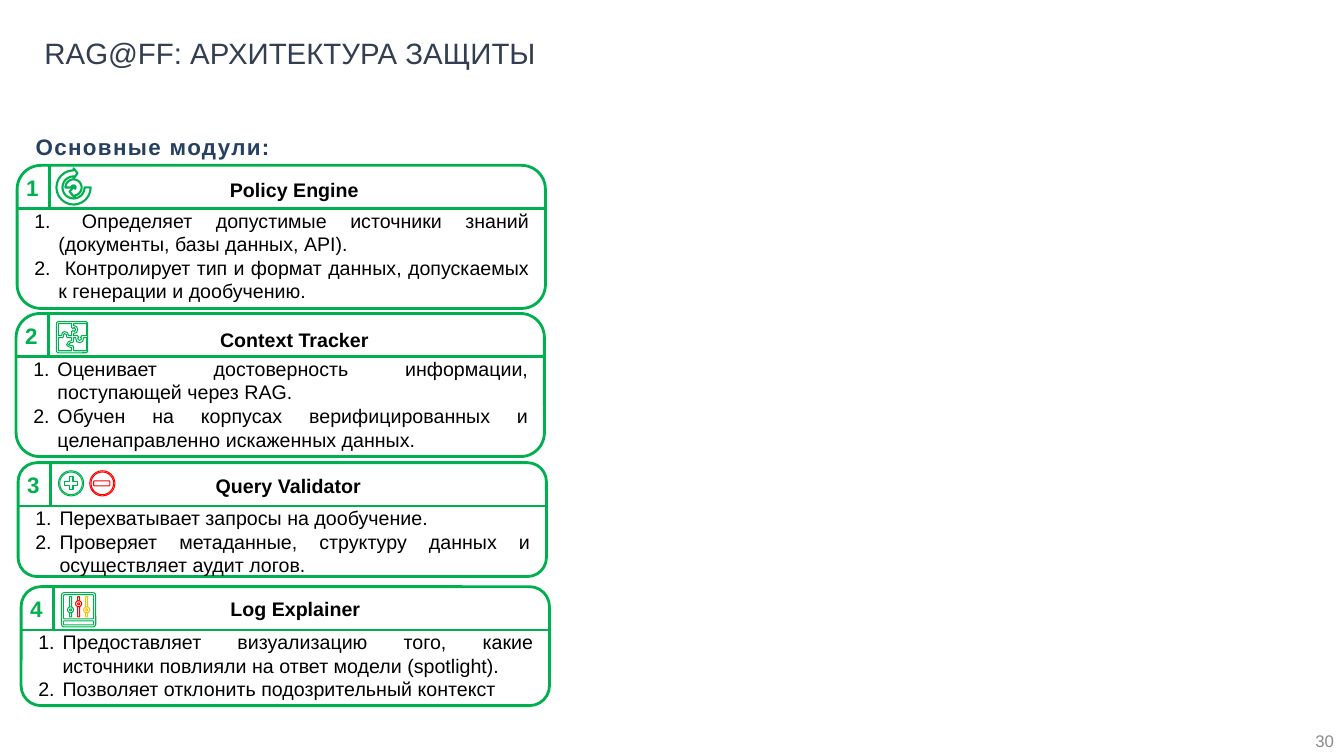
from math import cos, radians, sin

from lxml import etree
from pptx import Presentation
from pptx.dml.color import RGBColor
from pptx.enum.shapes import MSO_CONNECTOR, MSO_SHAPE
from pptx.enum.text import MSO_ANCHOR, MSO_AUTO_SIZE, PP_ALIGN
from pptx.oxml.ns import qn
from pptx.util import Inches, Pt

LINE = MSO_CONNECTOR.STRAIGHT
ROUND, OVAL = MSO_SHAPE.ROUNDED_RECTANGLE, MSO_SHAPE.OVAL
DONUT, CROSS = MSO_SHAPE.DONUT, MSO_SHAPE.CROSS
LEFT, MID, RIGHT, BOTH = PP_ALIGN.LEFT, PP_ALIGN.CENTER, PP_ALIGN.RIGHT, PP_ALIGN.JUSTIFY
TOP, CENTER = MSO_ANCHOR.TOP, MSO_ANCHOR.MIDDLE
FIXED = MSO_AUTO_SIZE.NONE

COLORS = {
    "green": "00B050", "red": "FF0000", "gold": "FFC000", "white": "FFFFFF",
    "black": "000000", "title": "333F50", "navy": "254061", "gray": "8C8C8C",
}

# left, top, height, heading left, heading drop, list height, heading, points
CARDS = [
    (0.17, 1.64, 1.42, 0.49, 0.08, 1.04, "Policy Engine", [
        " Определяет допустимые источники знаний (документы, базы данных, API).",
        " Контролирует тип и формат данных, допускаемых к генерации и дообучению."]),
    (0.16, 3.11, 1.42, 0.49, 0.09, 1.04, "Context Tracker", [
        "Оценивает достоверность информации, поступающей через RAG.",
        "Обучен на корпусах верифицированных и целенаправленно искаженных данных."]),
    (0.18, 4.59, 1.13, 0.43, 0.06, 0.81, "Query Validator", [
        "Перехватывает запросы на дообучение.",
        "Проверяет метаданные, структуру данных и осуществляет аудит логов."]),
    (0.21, 5.82, 1.18, 0.5, 0.05, 0.81, "Log Explainer", [
        "Предоставляет визуализацию того, какие источники повлияли на ответ модели (spotlight).",
        "Позволяет отклонить подозрительный контекст"]),
]
WIDTH, BAND = 5.24, 0.43

# Puzzle pieces, in hundredths of an inch from the icon's corner
PIECES = [
    [(15, 2), (15, 6), (16, 7), (18, 6), (19, 8), (18, 10), (16, 9), (15, 10),
     (15, 14), (12, 14), (11, 11), (8, 10), (6, 11), (5, 14), (2, 14), (2, 2)],
    [(17, 2), (30, 2), (30, 14), (25, 14), (24, 16), (25, 17), (23, 19), (21, 17),
     (22, 16), (21, 14), (17, 14), (17, 12), (20, 11), (21, 8), (20, 5), (17, 4)],
    [(8, 12), (10, 13), (10, 15), (11, 16), (15, 16), (15, 19), (12, 20), (10, 23),
     (12, 25), (15, 26), (15, 29), (2, 29), (2, 16), (6, 16), (7, 15), (7, 13)],
    [(30, 16), (30, 29), (17, 29), (17, 25), (16, 24), (14, 24), (12, 23), (14, 21),
     (16, 21), (17, 20), (17, 16), (19, 16), (20, 20), (23, 21), (26, 20), (27, 16)],
]


def arc(x, y, r, start, end, steps=18):
    turns = [radians(start + (end - start) * i / steps) for i in range(steps + 1)]
    return [(x + r * cos(t), y + r * sin(t)) for t in turns]


class Deck:
    font = "Arial"

    def __init__(self, slide):
        self.slide = slide
        self.shapes = slide.shapes

    def paint(self, shape, color, width):
        shape.shadow.inherit = False
        shape.fill.solid()
        shape.fill.fore_color.rgb = RGBColor.from_string(COLORS["white"])
        shape.line.color.rgb = RGBColor.from_string(COLORS[color])
        shape.line.width = Pt(width)

    def shape(self, kind, box, color="green", width=0.75, adj=None):
        shape = self.shapes.add_shape(kind, *map(Inches, box))
        self.paint(shape, color, width)
        if adj is not None:
            shape.adjustments[0] = adj

    def outline(self, rings, color="green", width=0.75):
        rings = [[(round(x * 1000), round(y * 1000)) for x, y in ring] for ring in rings]
        pen = self.shapes.build_freeform(*rings[0][0], scale=Inches(1) / 1000)
        for i, ring in enumerate(rings):
            if i:
                pen.move_to(*ring[0])
            pen.add_line_segments(ring[1:], close=True)
        self.paint(pen.convert_to_shape(), color, width)

    def line(self, *ends):
        line = self.shapes.add_connector(LINE, *map(Inches, ends))
        line.line.color.rgb = RGBColor.from_string(COLORS["green"])
        line.line.width = Pt(2)
        etree.SubElement(line.element.spPr, qn("a:effectLst"))

    def place(self, shape, box, text, size, color, bold=False, align=LEFT,
              anchor=TOP, wrap=True):
        shape.left, shape.top, shape.width, shape.height = map(Inches, box)
        frame = shape.text_frame
        frame.text = text
        frame.word_wrap = wrap
        frame.auto_size = FIXED
        frame.vertical_anchor = anchor
        for para in frame.paragraphs:
            para.alignment = align
            para.space_before = Pt(0)
            for run in para.runs:
                run.font.name = self.font
                run.font.size = Pt(size)
                run.font.bold = bold
                run.font.color.rgb = RGBColor.from_string(COLORS[color])
        return frame

    def text(self, box, *args, **style):
        return self.place(self.shapes.add_textbox(0, 0, 0, 0), box, *args, **style)

    def title(self, box, text):
        frame = self.place(self.shapes.title, box, text, 21, "title", anchor=CENTER)
        frame.paragraphs[0].line_spacing = 0.9

    def list(self, holder, box, points):
        frame = self.place(holder, box, "\n".join(points), 14, "black", align=BOTH)
        for para in frame.paragraphs:
            props = para._p.get_or_add_pPr()
            props.set("marL", str(Inches(0.3)))
            props.set("indent", str(-Inches(0.24)))
            etree.SubElement(props, qn("a:buFont"), typeface=self.font)
            etree.SubElement(props, qn("a:buAutoNum"), type="arabicPeriod")
        # Bring the list in front of its card
        holder.element.getparent().append(holder.element)

    def card(self, num, holder, left, top, height, head, drop, depth, name, points):
        self.shape(ROUND, (left, top, WIDTH, height), width=2)
        self.text((left - 0.01, top + 0.04, 0.46, 0.37), str(num), 16, "green", bold=True)
        self.line(left + 0.32, top, left + 0.32, top + BAND)
        self.text((head, top + drop, 4.86, 0.34), name, 14, "black", bold=True, align=MID)
        self.line(left, top + BAND, left + WIDTH, top + BAND)
        self.list(holder, (left + 0.01, top + 0.38, 5.17, depth), points)

    def swirl(self, x, y):
        outer = [(x, y - 0.19), *arc(x, y, 0.17, 270, 0), *arc(x, y, 0.11, 0, 270),
                 (x, y - 0.09), (x + 0.04, y - 0.14)]
        inner = [*arc(x, y, 0.08, 270, 180), *arc(x, y, 0.02, 180, 400),
                 (x + 0.01, y - 0.01), (x - 0.04, y + 0.04), (x + 0.01, y + 0.1),
                 *arc(x, y, 0.08, 80, -90)]
        for ring in (outer, inner):
            self.outline([ring], width=1.5)

    def puzzle(self, x, y):
        self.shape(ROUND, (x, y, 0.31, 0.31), adj=0.07)
        self.outline([[(x + a / 100, y + b / 100) for a, b in piece] for piece in PIECES])

    def signs(self, x, y):
        for step, color in ((0, "green"), (0.31, "red")):
            self.shape(DONUT, (x + step, y, 0.25, 0.25), color, adj=0.05)
        self.shape(CROSS, (x + 0.06, y + 0.06, 0.13, 0.13), adj=0.35)
        self.shape(ROUND, (x + 0.35, y + 0.1, 0.16, 0.05), "red")

    def mixer(self, x, y):
        self.shape(ROUND, (x, y, 0.34, 0.34), adj=0.08)
        self.shape(ROUND, (x + 0.02, y + 0.02, 0.3, 0.24), adj=0.05)
        self.shape(ROUND, (x + 0.02, y + 0.28, 0.3, 0.04))
        for i, (color, drop) in enumerate((("green", 0.14), ("red", 0.08), ("gold", 0.14))):
            knob = x + 0.06 + 0.08 * i
            self.shape(ROUND, (knob + 0.02, y + 0.04, 0.02, 0.2), color)
            self.shape(OVAL, (knob, y + drop, 0.06, 0.06), color)
            self.shape(OVAL, (knob + 0.02, y + drop + 0.02, 0.02, 0.02), color)


def main():
    prs = Presentation()
    prs.slide_width, prs.slide_height = Inches(13.33), Inches(7.5)
    # The comparison layout has a title and four bodies
    deck = Deck(prs.slides.add_slide(prs.slide_layouts[4]))
    bodies = list(deck.slide.placeholders)[1:5]

    # Headings and page number
    deck.title((0.26, 0, 10.05, 1.09), " RAG@FF: АРХИТЕКТУРА ЗАЩИТЫ")
    label = deck.text((0.19, 1.27, 2.65, 0.37), "Основные модули:", 16, "navy",
                      bold=True, align=MID, wrap=False)
    label.paragraphs[0].runs[0]._r.get_or_add_rPr().set("spc", "100")
    deck.text((10.33, 7.15, 3, 0.4), "30", 12, "gray", align=RIGHT, anchor=CENTER)

    # Module cards
    for num, (body, card) in enumerate(zip(bodies, CARDS), 1):
        deck.card(num, body, *card)

    # Icons
    deck.swirl(0.73, 1.86)
    deck.puzzle(0.56, 3.19)
    deck.signs(0.58, 4.67)
    deck.mixer(0.61, 5.88)

    prs.save("out.pptx")


if __name__ == "__main__":
    main()
